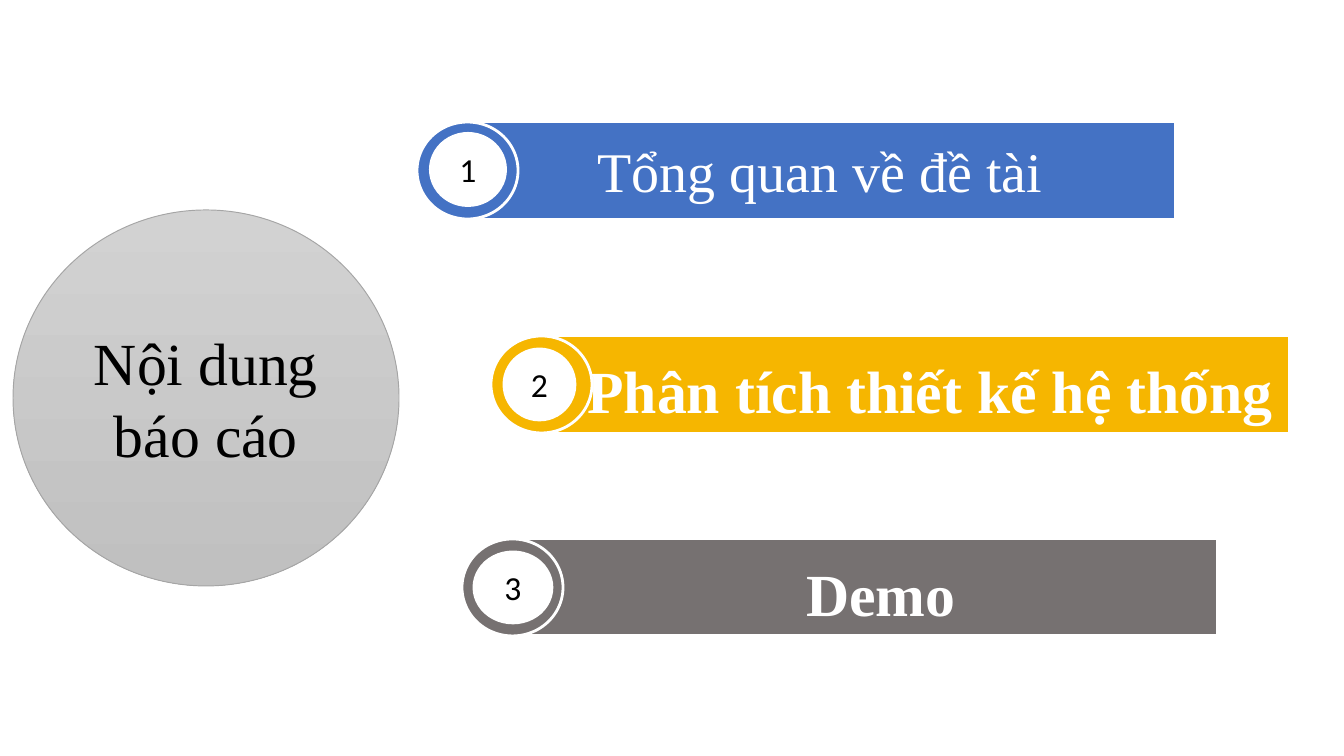
from dataclasses import dataclass

from pptx import Presentation
from pptx.dml.color import RGBColor
from pptx.enum.shapes import MSO_SHAPE
from pptx.enum.text import MSO_ANCHOR, PP_ALIGN
from pptx.util import Pt

RECTANGLE, OVAL = MSO_SHAPE.RECTANGLE, MSO_SHAPE.OVAL
CENTER, MIDDLE = PP_ALIGN.CENTER, MSO_ANCHOR.MIDDLE

WHITE = RGBColor(0xFF, 0xFF, 0xFF)
BLACK = RGBColor(0x00, 0x00, 0x00)
BLUE = RGBColor(0x44, 0x72, 0xC4)
AMBER = RGBColor(0xF6, 0xB6, 0x00)
GRAY = RGBColor(0x76, 0x71, 0x71)
LIGHT_TOP = RGBColor(0xD2, 0xD2, 0xD2)
LIGHT_BOTTOM = RGBColor(0xC0, 0xC0, 0xC0)
TITLE_EDGE = RGBColor(0xA5, 0xA5, 0xA5)

SERIF, SANS = "Times New Roman", "Calibri"
EMU_PER_INCH, PX_PER_INCH = 914400, 134.4
ROW_HEIGHT, RING_WIDTH = 97, 101
TEXT_INDENT = 34


@dataclass
class Topic:
    label: str
    color: RGBColor
    top: int
    ring_left: int
    bar_left: int
    bar_width: int
    disc: tuple
    size: int = 32
    bold: bool = True
    indent: int = TEXT_INDENT
    disc_edge: RGBColor | None = WHITE


TOPICS = [
    Topic("Tổng quan về đề tài", BLUE, 122, 417, 464, 712, (429, 132, 78, 75),
          size=30, bold=False, indent=0, disc_edge=None),
    Topic("Phân tích thiết kế hệ thống", AMBER, 336, 491, 538, 751,
          (504, 349, 71, 71)),
    Topic("Demo", GRAY, 539, 462, 511, 706, (474, 552, 78, 71)),
]


def px(length):
    return round(length * EMU_PER_INCH / PX_PER_INCH)


def add_box(page, kind, bounds, fill, edge=WHITE, edge_width=1.5):
    """Add a shape; a pair of fill colours makes a top-to-bottom gradient."""
    box = page.shapes.add_shape(kind, *map(px, bounds))
    box.shadow.inherit = False
    if isinstance(fill, list):
        box.fill.gradient()
        box.fill.gradient_angle = 270
        for stop, color in zip(box.fill.gradient_stops, fill):
            stop.color.rgb = color
    else:
        box.fill.solid()
        box.fill.fore_color.rgb = fill
    if edge is None:
        box.line.fill.background()
    else:
        box.line.color.rgb = edge
        box.line.width = Pt(edge_width)
    return box


def write(box, text, size, color, font=SERIF, bold=False):
    frame = box.text_frame
    frame.word_wrap = True
    frame.vertical_anchor = MIDDLE
    para = frame.paragraphs[0]
    para.alignment = CENTER
    span = para.add_run()
    span.text = text
    span.font.name = font
    span.font.size = Pt(size)
    span.font.bold = bold
    span.font.color.rgb = color
    return para


def add_topic(page, number, topic):
    bar = add_box(page, RECTANGLE,
                  (topic.bar_left, topic.top, topic.bar_width, ROW_HEIGHT), topic.color)
    para = write(bar, topic.label, topic.size, WHITE, bold=topic.bold)
    if topic.indent:
        para.line_spacing = 1.15
        para.space_before, para.space_after = Pt(3), Pt(6)
        para._p.get_or_add_pPr().set("marL", str(px(topic.indent)))

    add_box(page, OVAL, (topic.ring_left, topic.top, RING_WIDTH, ROW_HEIGHT), topic.color)
    disc = add_box(page, OVAL, topic.disc, WHITE, topic.disc_edge)
    write(disc, str(number), 18, BLACK, SANS)


def add_title_circle(page):
    circle = add_box(page, OVAL, (13, 210, 386, 376),
                     [LIGHT_TOP, LIGHT_BOTTOM], TITLE_EDGE, 0.5)
    write(circle, "Nội dung báo cáo", 32, BLACK)


def main():
    deck = Presentation()
    deck.slide_width, deck.slide_height = px(1344), px(756)
    page = deck.slides.add_slide(deck.slide_layouts[6])
    add_title_circle(page)
    for number, topic in enumerate(TOPICS, start=1):
        add_topic(page, number, topic)
    deck.save("out.pptx")


if __name__ == "__main__":
    main()
